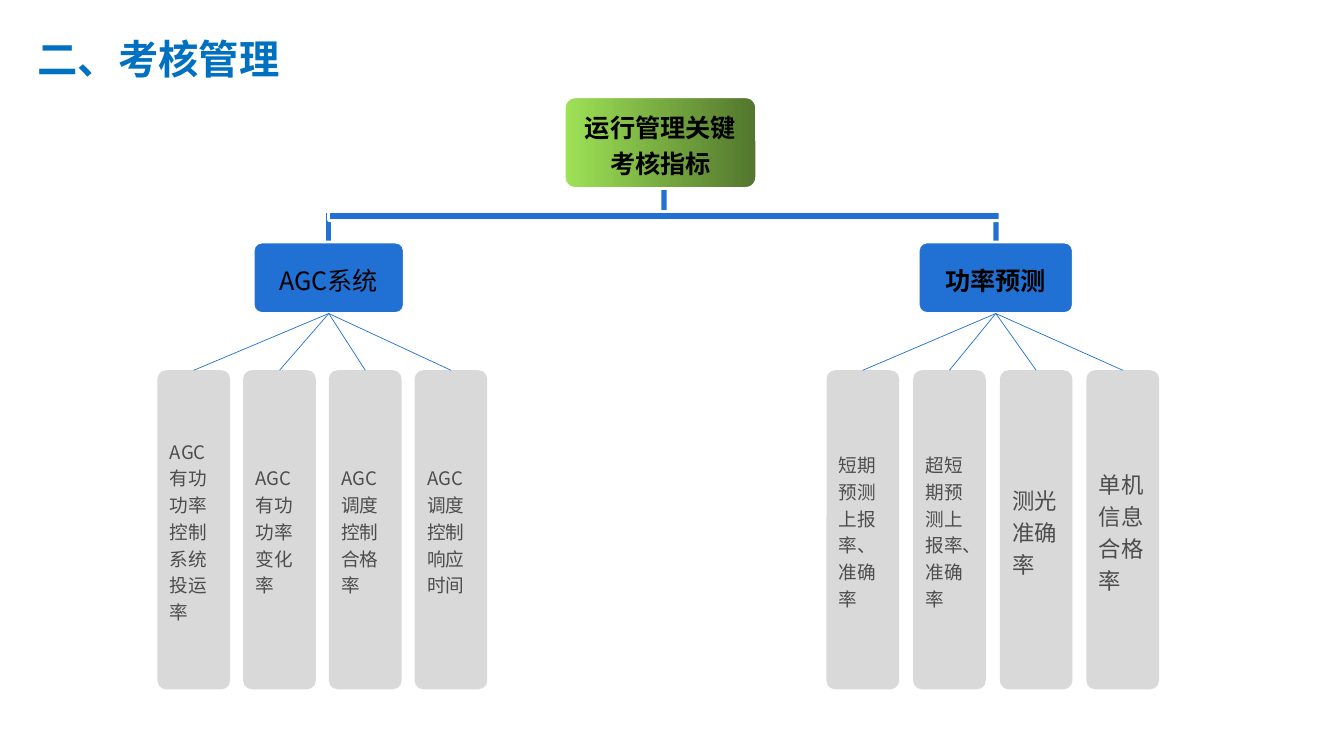
from dataclasses import dataclass

from lxml.etree import SubElement
from pptx import Presentation
from pptx.dml.color import RGBColor
from pptx.enum.shapes import MSO_CONNECTOR as Connector, MSO_SHAPE as Shape
from pptx.enum.text import MSO_ANCHOR as Anchor, MSO_AUTO_SIZE as AutoSize, PP_ALIGN as Align
from pptx.oxml.ns import qn
from pptx.util import Cm, Pt


@dataclass(frozen=True)
class Theme:
    title: RGBColor = RGBColor(0x00, 0x70, 0xC0)
    blue: RGBColor = RGBColor(0x20, 0x71, 0xD3)
    light_green: RGBColor = RGBColor(0x9E, 0xE2, 0x56)
    dark_green: RGBColor = RGBColor(0x52, 0x76, 0x2D)
    grey: RGBColor = RGBColor(0xD9, 0xD9, 0xD9)
    body: RGBColor = RGBColor(0x4D, 0x4D, 0x4D)
    black: RGBColor = RGBColor(0, 0, 0)
    white: RGBColor = RGBColor(255, 255, 255)
    title_font: str = "Arial"
    font: str = "Noto Sans CJK SC"
    title_size: float = 28.8
    head_size: float = 18
    large_size: float = 16
    small_size: float = 13.3
    line_spacing: float = 1.2


@dataclass(frozen=True)
class Box:
    """A rectangle in centimetres."""
    left: float
    top: float
    width: float
    height: float

    @property
    def centre(self):
        return self.left + self.width / 2

    @property
    def bottom(self):
        return self.top + self.height

    def lengths(self):
        return Cm(self.left), Cm(self.top), Cm(self.width), Cm(self.height)


THEME = Theme()
COLUMN_WIDTH = 1.83
STUB_WIDTH, STUB_HEIGHT = 0.2, 0.99


def write_text(shape, text, size, color, font=THEME.font, bold=False, align=Align.LEFT):
    frame = shape.text_frame
    frame.text = text
    frame.word_wrap = True
    frame.auto_size = AutoSize.NONE
    frame.vertical_anchor = Anchor.MIDDLE
    paragraph = frame.paragraphs[0]
    paragraph.alignment = align
    paragraph.line_spacing = THEME.line_spacing
    run = paragraph.runs[0]
    run.font.size = Pt(size)
    run.font.bold = bold
    run.font.color.rgb = color
    run.font.name = font
    east_asian = SubElement(run.font._element, qn("a:ea"))
    east_asian.set("typeface", font)


def add_block(slide, box, fill, outlined=True):
    shape = slide.shapes.add_shape(Shape.ROUNDED_RECTANGLE, *box.lengths())
    shape.adjustments[0] = 0.12
    shape.shadow.inherit = False
    shape.fill.solid()
    shape.fill.fore_color.rgb = fill
    if outlined:
        shape.line.color.rgb = THEME.white
        shape.line.width = Pt(2)
    else:
        shape.line.fill.background()
    return shape


def add_title(slide, box, text):
    title = slide.shapes.title
    title.left, title.top, title.width, title.height = box.lengths()
    write_text(title, text, THEME.title_size, THEME.title, THEME.title_font, bold=True)


def add_stub(slide, centre, top):
    box = Box(centre - STUB_WIDTH / 2, top, STUB_WIDTH, STUB_HEIGHT)
    add_block(slide, box, THEME.blue)


def add_root(slide, box, bar, text):
    """Top node with the trunk and the bar that joins both branches."""
    add_stub(slide, box.centre + 0.09, 4.46)
    root = add_block(slide, box, THEME.light_green)
    root.fill.gradient()
    root.fill.gradient_angle = 0
    for stop, color in zip(root.fill.gradient_stops, (THEME.light_green, THEME.dark_green)):
        stop.color.rgb = color
    write_text(root, text, THEME.head_size, THEME.black, bold=True, align=Align.CENTER)
    for centre in (bar.left, bar.left + bar.width - 0.1):
        add_stub(slide, centre, bar.top)
    add_block(slide, bar, THEME.blue)


def add_branch(slide, head_box, columns_box, heading, bold, indicators):
    """Branch head, its evenly spaced indicator columns and the fan of lines."""
    pitch = (columns_box.width - COLUMN_WIDTH) / (len(indicators) - 1)
    head = add_block(slide, head_box, THEME.blue)
    write_text(head, heading, THEME.head_size, THEME.black, bold=bold, align=Align.CENTER)
    for index, (text, size) in enumerate(indicators):
        box = Box(columns_box.left + index * pitch, columns_box.top,
                  COLUMN_WIDTH, columns_box.height)
        column = add_block(slide, box, THEME.grey, outlined=False)
        write_text(column, text, size, THEME.body)
        line = slide.shapes.add_connector(
            Connector.STRAIGHT, Cm(box.centre), Cm(box.top),
            Cm(head_box.centre), Cm(head_box.bottom))
        line.line.color.rgb = THEME.blue
        line.line.width = Pt(0.5)
        SubElement(line._element.spPr, qn("a:effectLst"))


def main():
    presentation = Presentation()
    presentation.slide_width, presentation.slide_height = Cm(33.87), Cm(19.05)
    slide = presentation.slides.add_slide(presentation.slide_layouts[5])

    add_title(slide, Box(0.69, 0.69, 30.81, 1.32), "二、考核管理")
    add_root(slide, Box(14.22, 2.44, 4.85, 2.31), Box(8.28, 5.33, 16.92, 0.23),
             "运行管理关键考核指标")

    # Left branch: AGC
    add_branch(slide, Box(6.38, 6.1, 3.81, 1.8), Box(3.97, 9.33, 8.31, 8.04),
               "AGC系统", False, [
                   ("AGC有功功率控制系统投运率", THEME.small_size),
                   ("AGC有功功率变化率", THEME.small_size),
                   ("AGC调度控制合格率", THEME.small_size),
                   ("AGC调度控制响应时间", THEME.small_size)])

    # Right branch: power forecast
    add_branch(slide, Box(23.14, 6.1, 3.91, 1.8), Box(20.83, 9.33, 8.38, 8.04),
               "功率预测", True, [
                   ("短期预测上报率、准确率", THEME.small_size),
                   ("超短期预测上报率、准确率", THEME.small_size),
                   ("测光准确率", THEME.large_size),
                   ("单机信息合格率", THEME.large_size)])

    presentation.save("out.pptx")


if __name__ == "__main__":
    main()
